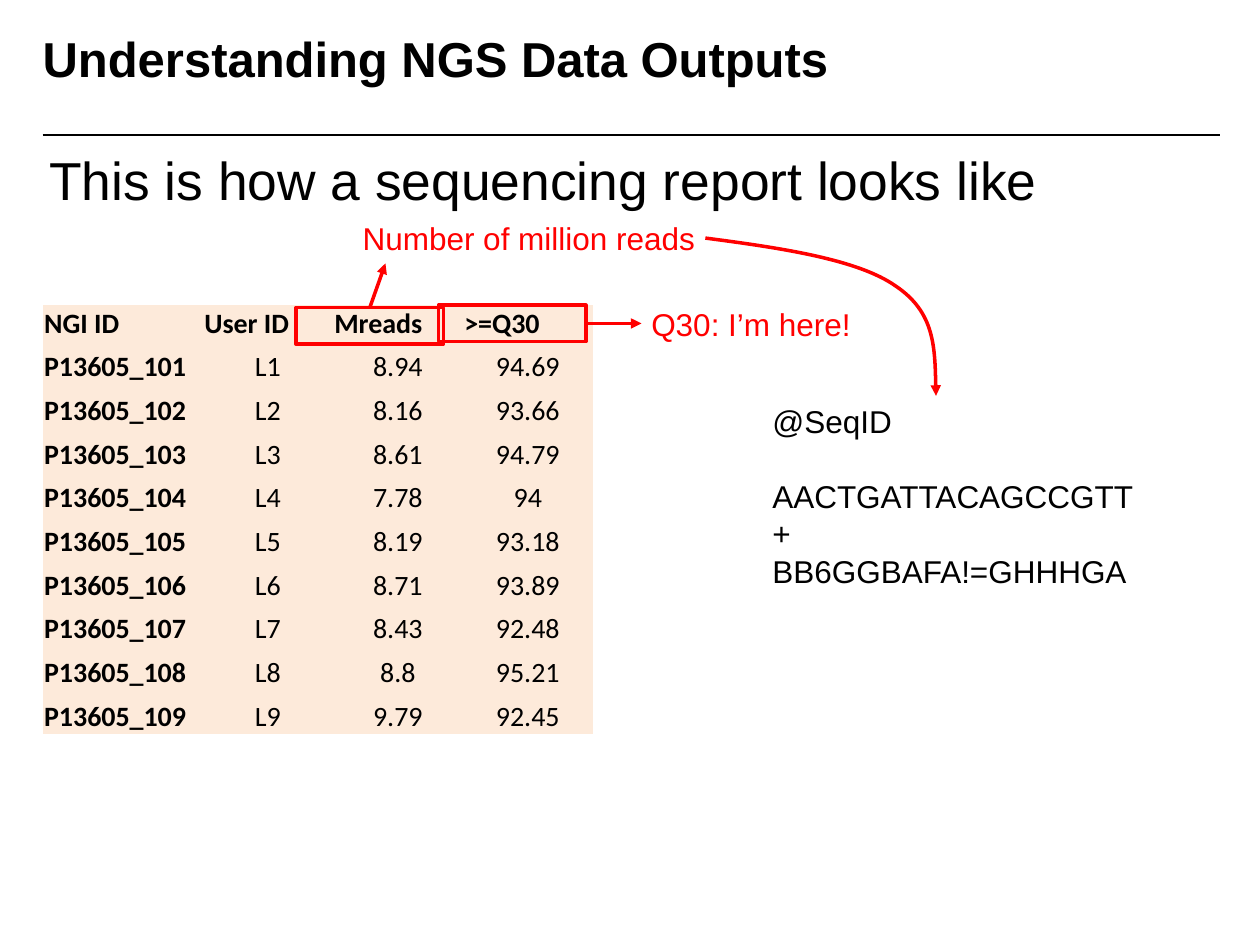
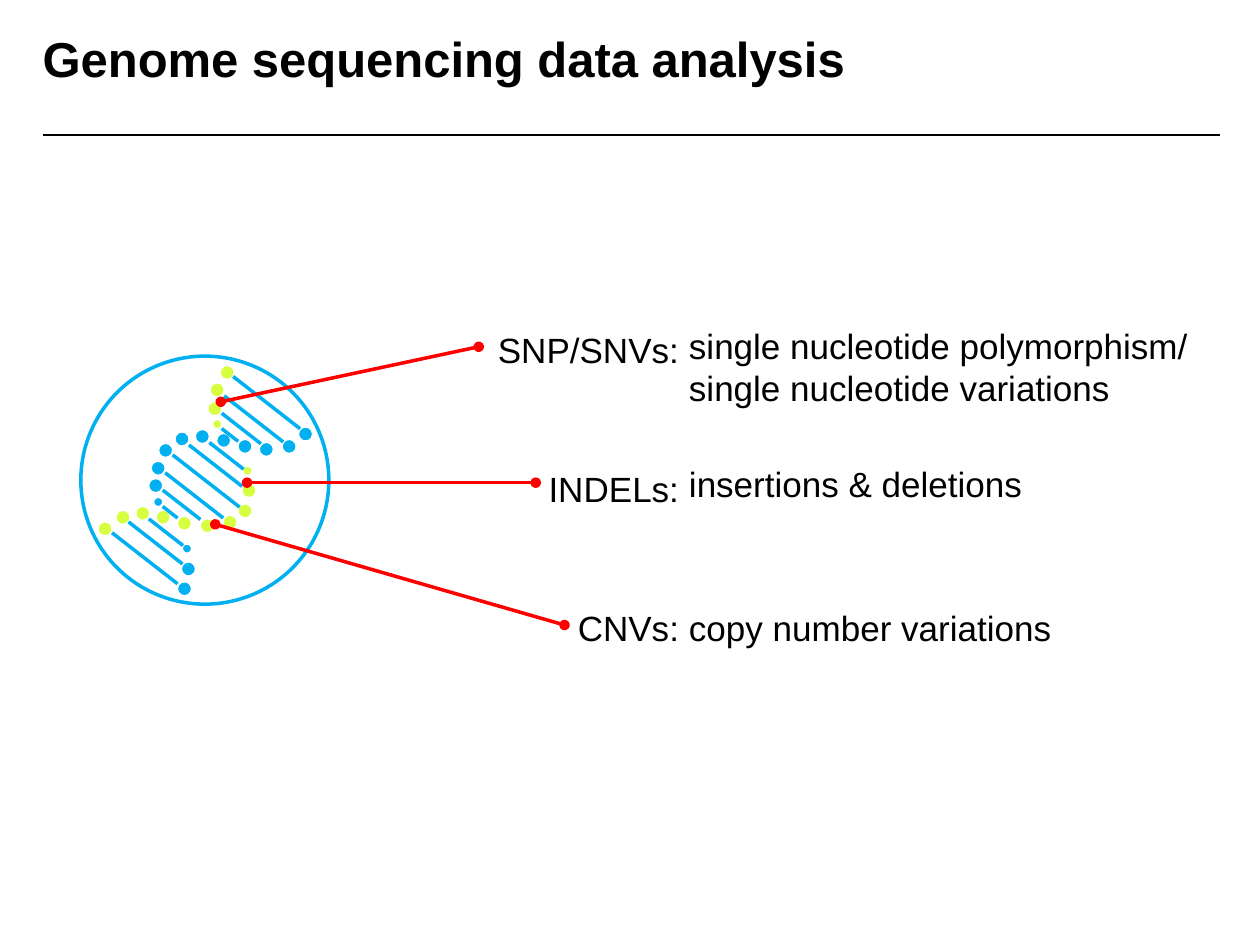
from lxml.etree import SubElement
from pptx import Presentation
from pptx.dml.color import RGBColor
from pptx.enum.shapes import MSO_CONNECTOR, MSO_SHAPE
from pptx.enum.text import MSO_ANCHOR, MSO_AUTO_SIZE, PP_ALIGN
from pptx.oxml.ns import qn
from pptx.util import Cm, Pt

BLACK, WHITE, RED = "000000", "FFFFFF", "FF0000"
BLUE, LIME, PEACH = "00B0F0", "D7FF40", "FDEADA"
PLAIN_STYLE = "{2D5ABB26-0587-4C30-8999-92F81FD0307C}"
SLOPE = 0.78

READS = [
    ("8.94", "94.69"), ("8.16", "93.66"), ("8.61", "94.79"),
    ("7.78", "94"), ("8.19", "93.18"), ("8.71", "93.89"),
    ("8.43", "92.48"), ("8.8", "95.21"), ("9.79", "92.45"),
]
REPORT = [("NGI ID", "User ID", "Mreads", ">=Q30")] + [
    (f"P13605_{100 + n}", f"L{n}", *pair) for n, pair in enumerate(READS, 1)
]
CURVE = [(14.22, 4.8), (15.75, 5), (17.3, 5.23), (18.06, 5.77),
         (18.85, 6.3), (18.85, 7.14), (18.87, 7.98)]

DOTS = [
    (BLUE, 0.33, [(6.16, 8.75), (3.34, 9.08), (3.72, 11.87), (5.83, 9),
                  (5.37, 9.06), (4.94, 9), (4.08, 8.8), (4.51, 8.88),
                  (3.67, 8.85), (3.8, 11.47), (3.19, 9.44), (3.14, 9.79)]),
    (LIME, 0.33, [(4.58, 7.51), (4.94, 10.3), (2.12, 10.66), (4.64, 10.53),
                  (4.18, 10.6), (3.72, 10.55), (2.88, 10.35), (3.29, 10.43),
                  (2.48, 10.43), (4.38, 7.86), (4.33, 8.24), (5.02, 9.89)]),
    (LIME, 0.23, [(4.38, 8.55), (4.99, 9.49)]),
    (BLUE, 0.23, [(3.77, 11.06), (3.19, 10.12)]),
]
RUNGS = [
    (2.26, 10.74, 1.32), (2.59, 10.52, 1.09), (3, 10.46, 0.69),
    (3.28, 10.21, 0.3), (3.28, 9.88, 0.76), (3.33, 9.53, 1.17),
    (3.48, 9.17, 1.35), (3.81, 8.97, 1.07), (4.22, 8.92, 0.69),
    (4.47, 8.64, 0.33), (4.47, 8.33, 0.79), (4.52, 7.98, 1.19),
    (4.7, 7.59, 1.35),
]
VARIANTS = [
    ("SNP/SNVs:", 6.63, 6.55, (4.45, 8.1), (9.65, 6.99),
     "single nucleotide polymorphism/ single nucleotide variations"),
    ("INDELs:", 9.42, 9.32, (4.98, 9.73), (10.8, 9.73),
     "insertions & deletions"),
    ("CNVs:", 12.22, 12.22, (4.34, 10.57), (11.38, 12.6),
     "copy number variations"),
]


def paint(code):
    """Turn a hex string into a colour."""
    return RGBColor.from_string(code)


def write(frame, text, size=18, font="Arial", color=BLACK, bold=False,
          align=PP_ALIGN.LEFT, anchor=MSO_ANCHOR.TOP, space=None, inset=None):
    """Fill a text frame, one paragraph per line of text."""
    frame.word_wrap = True
    frame.vertical_anchor = anchor
    if inset is not None:
        frame.margin_left = frame.margin_right = Cm(inset)
        frame.margin_top = frame.margin_bottom = Cm(inset)
    for n, line in enumerate(text.split("\n")):
        para = frame.paragraphs[0] if n == 0 else frame.add_paragraph()
        para.alignment = align
        para.line_spacing = space
        run = para.add_run()
        run.text = line
        run.font.name, run.font.size = font, Pt(size)
        run.font.bold, run.font.color.rgb = bold, paint(color)


def label(slide, text, left, top, width, height, **style):
    """Add a text box and return its frame."""
    box = slide.shapes.add_textbox(Cm(left), Cm(top), Cm(width), Cm(height))
    write(box.text_frame, text, **style)
    return box.text_frame


def stroke(shape, color, width=2, head=None, tail=None):
    """Set the line of a shape and its arrowheads."""
    shape.line.color.rgb = paint(color)
    shape.line.width = Pt(width)
    edge = shape._element.spPr.find(qn("a:ln"))
    for tag, kind in (("a:headEnd", head), ("a:tailEnd", tail)):
        if kind:
            SubElement(edge, qn(tag)).set("type", kind)


def link(slide, start, end, color, **style):
    """Draw a straight line between two points."""
    line = slide.shapes.add_connector(
        MSO_CONNECTOR.STRAIGHT, *(Cm(v) for v in (*start, *end)))
    stroke(line, color, **style)
    SubElement(line._element.spPr, qn("a:effectLst"))
    return line


def outline(slide, kind, left, top, width, height, color, fill=None):
    """Add a preset shape with a line and an optional fill."""
    shape = slide.shapes.add_shape(
        kind, Cm(left), Cm(top), Cm(width), Cm(height))
    shape.shadow.inherit = False
    if fill:
        shape.fill.solid()
        shape.fill.fore_color.rgb = paint(fill)
    else:
        shape.fill.background()
    stroke(shape, color)
    return shape


def disc(slide, x, y, size, color, fill):
    """Add a circle around a centre."""
    outline(slide, MSO_SHAPE.OVAL, x - size / 2, y - size / 2, size, size,
            color, fill)


def curve(slide, points):
    """Draw a red curved arrow through cubic control points."""
    start, *rest = [(Cm(x), Cm(y)) for x, y in points]
    form = slide.shapes.build_freeform(*start)
    form.add_line_segments(rest, close=False)
    shape = form.convert_to_shape()
    shape.shadow.inherit = False
    shape.fill.background()
    stroke(shape, RED, tail="triangle")
    track = shape._element.find(".//" + qn("a:path"))
    steps = track.findall(qn("a:lnTo"))
    for n in range(0, len(steps), 3):
        bend = SubElement(track, qn("a:cubicBezTo"))
        for step in steps[n:n + 3]:
            bend.append(step[0])
            track.remove(step)


def table(slide, rows, left, top, widths, heights):
    """Add the read report with a flat fill."""
    frame = slide.shapes.add_table(
        len(rows), len(widths), Cm(left), Cm(top),
        Cm(sum(widths)), Cm(sum(heights)))
    grid = frame.table
    grid.first_row = grid.horz_banding = False
    grid._tbl.tblPr.find(qn("a:tableStyleId")).text = PLAIN_STYLE
    for col, width in zip(grid.columns, widths):
        col.width = Cm(width)
    for r, row in enumerate(rows):
        grid.rows[r].height = Cm(heights[r])
        for c, text in enumerate(row):
            cell = grid.cell(r, c)
            cell.fill.solid()
            cell.fill.fore_color.rgb = paint(PEACH)
            cell.margin_left = cell.margin_right = cell.margin_top = Cm(0.03)
            cell.margin_bottom = Cm(0)
            cell.vertical_anchor = MSO_ANCHOR.BOTTOM
            head = r == 0 or c == 0
            write(cell.text_frame, text, size=16, font="Calibri", bold=head,
                  align=PP_ALIGN.LEFT if head else PP_ALIGN.CENTER,
                  anchor=None)


def page(deck, text):
    """Add a slide with its title and the rule under it."""
    slide = deck.slides.add_slide(deck.slide_layouts[5])
    title = slide.shapes.title
    title.left, title.top = Cm(0.86), Cm(0.58)
    title.width, title.height = Cm(18.85), Cm(1.75)
    title.text_frame.auto_size = MSO_AUTO_SIZE.NONE
    write(title.text_frame, text, size=28, bold=True, inset=0)
    link(slide, (0.86, 2.72), (24.59, 2.72), BLACK, width=1)
    return slide


def callout(slide, left, top, side, end, text, spot):
    """Frame a table heading and point from it to a red remark."""
    box = outline(slide, MSO_SHAPE.RECTANGLE, left, top, 2.97, 0.74, RED)
    arrow = link(slide, (left, top), end, RED, tail="triangle")
    arrow.begin_connect(box, side)
    label(slide, text, *spot, 8.79, 1.02, color=RED)


def outputs(deck):
    """Build the slide on the sequencing report."""
    slide = page(deck, "Understanding NGS Data Outputs")
    table(slide, REPORT, 0.86, 6.15, [3.23] + [2.62] * 3,
          [0.72] + [0.88] * len(READS))
    label(slide, "This is how a sequencing report looks like",
          0, 2.49, 21.89, 2.39, size=30.5, align=PP_ALIGN.CENTER,
          anchor=MSO_ANCHOR.MIDDLE, space=0.9)
    callout(slide, 8.84, 6.15, 3, (12.93, 6.52), "Q30: I’m here!",
            (12.88, 6.02))
    callout(slide, 5.97, 6.2, 0, (7.77, 5.31), "Number of million reads",
            (7.06, 4.29))
    curve(slide, CURVE)
    frame = label(slide, "@SeqID\nAACTGATTACAGCCGTT\n+\nBB6GGBAFA!=GHHHGA",
                  15.32, 7.98, 9.32, 4.11)
    frame.paragraphs[0].space_after = Pt(21)


def helix(slide):
    """Draw the DNA strand inside its circle."""
    disc(slide, 4.13, 9.68, 5, BLUE, WHITE)
    for fill, size, spots in DOTS:
        for x, y in spots:
            disc(slide, x, y, size, WHITE, fill)
    for x, y, run in RUNGS:
        link(slide, (x, y), (x + run, y + run * SLOPE), BLUE)


def genome(deck):
    """Build the slide on the kinds of variants."""
    slide = page(deck, "Genome sequencing data analysis")
    helix(slide)
    for name, top, level, start, end, note in VARIANTS:
        link(slide, start, end, RED, head="oval", tail="oval")
        label(slide, name, 10.03, top, 3.66, 0.81, size=20, inset=0,
              align=PP_ALIGN.RIGHT)
        label(slide, note, 13.89, level, 10.31, 2.08, size=20, inset=0)


def main():
    """Build and save the deck."""
    deck = Presentation()
    deck.slide_width, deck.slide_height = Cm(25.4), Cm(19.05)
    outputs(deck)
    genome(deck)
    deck.save("out.pptx")


if __name__ == "__main__":
    main()
